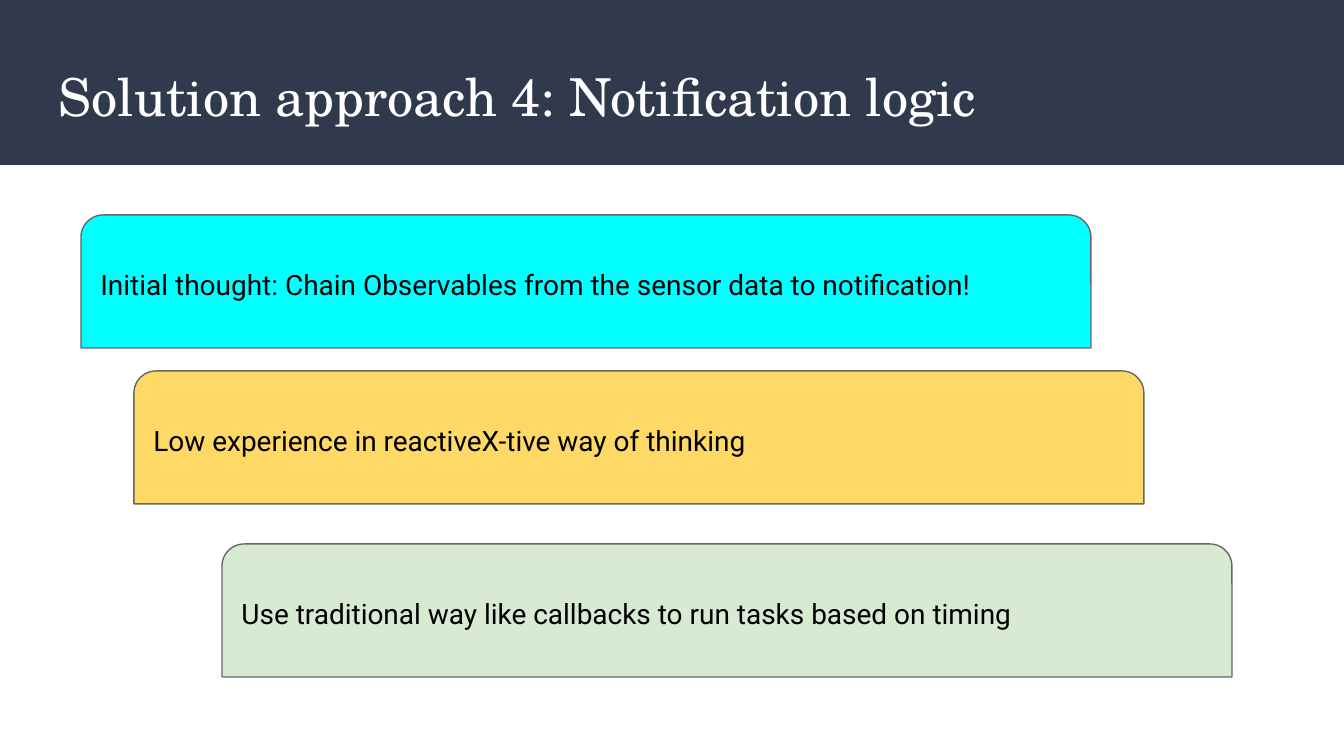
from dataclasses import dataclass

from pptx import Presentation
from pptx.dml.color import RGBColor
from pptx.enum.shapes import MSO_SHAPE
from pptx.enum.text import MSO_ANCHOR, MSO_AUTO_SIZE, PP_ALIGN
from pptx.shapes.autoshape import Shape
from pptx.slide import Slide
from pptx.text.text import TextFrame
from pptx.util import Emu, Pt

RECT = MSO_SHAPE.RECTANGLE
ROUND_TOP = MSO_SHAPE.ROUND_2_SAME_RECTANGLE
TOP, MIDDLE = MSO_ANCHOR.TOP, MSO_ANCHOR.MIDDLE
LEFT = PP_ALIGN.LEFT
NO_FIT = MSO_AUTO_SIZE.NONE

EMU_PER_PX = 914400 / 134.4
SLIDE_W, SLIDE_H = 1344, 756
BAND_H = 165
CARD_W, CARD_H = 1010, 133
INSET = 13
TITLE_ONLY = 5


@dataclass(frozen=True)
class Theme:
    band: str = "31394D"
    title: str = "FFFFFF"
    body: str = "000000"
    outline: str = "666666"
    title_font: str = "TeX Gyre Schola"
    body_font: str = "Roboto"
    title_size: int = 28
    body_size: int = 15
    outline_width: float = 0.75


@dataclass(frozen=True)
class Card:
    x: int
    y: int
    fill: str
    text: str


THEME = Theme()
CARDS = [
    Card(81, 215, "00FFFF",
         "Initial thought: Chain Observables from the sensor data to notification!"),
    Card(134, 371, "FFD966", "Low experience in reactiveX-tive way of thinking"),
    Card(222, 544, "D9EAD3",
         "Use traditional way like callbacks to run tasks based on timing"),
]


def px(n: int) -> Emu:
    return Emu(round(n * EMU_PER_PX))


def write(tf: TextFrame, text: str, font: str, size: int, color: str,
          anchor: MSO_ANCHOR) -> None:
    tf.text = text
    tf.word_wrap = True
    tf.auto_size = NO_FIT
    tf.vertical_anchor = anchor
    tf.margin_left = tf.margin_right = px(INSET)
    tf.margin_top = tf.margin_bottom = px(INSET)
    p = tf.paragraphs[0]
    p.alignment = LEFT
    p.line_spacing = 1.0
    r = p.runs[0]
    r.font.name = font
    r.font.size = Pt(size)
    r.font.color.rgb = RGBColor.from_string(color)


def add_block(s: Slide, kind: MSO_SHAPE, x: int, y: int, w: int, h: int,
              fill: str) -> Shape:
    sp = s.shapes.add_shape(kind, px(x), px(y), px(w), px(h))
    sp.shadow.inherit = False
    sp.fill.solid()
    sp.fill.fore_color.rgb = RGBColor.from_string(fill)
    sp.line.fill.background()
    return sp


def add_header(s: Slide, text: str) -> None:
    title = s.shapes.title
    title.left, title.top = px(46), px(51)
    title.width, title.height = px(1253), px(91)
    write(title.text_frame, text, THEME.title_font, THEME.title_size,
          THEME.title, TOP)
    band = add_block(s, RECT, 0, 0, SLIDE_W, BAND_H, THEME.band)
    title.element.addprevious(band.element)


def add_card(s: Slide, card: Card) -> None:
    sp = add_block(s, ROUND_TOP, card.x, card.y, CARD_W, CARD_H, card.fill)
    sp.line.color.rgb = RGBColor.from_string(THEME.outline)
    sp.line.width = Pt(THEME.outline_width)
    write(sp.text_frame, card.text, THEME.body_font, THEME.body_size,
          THEME.body, MIDDLE)


def main() -> None:
    prs = Presentation()
    prs.slide_width, prs.slide_height = px(SLIDE_W), px(SLIDE_H)
    s = prs.slides.add_slide(prs.slide_layouts[TITLE_ONLY])
    add_header(s, "Solution approach 4: Notification logic")
    for card in CARDS:
        add_card(s, card)
    prs.save("out.pptx")


if __name__ == "__main__":
    main()
